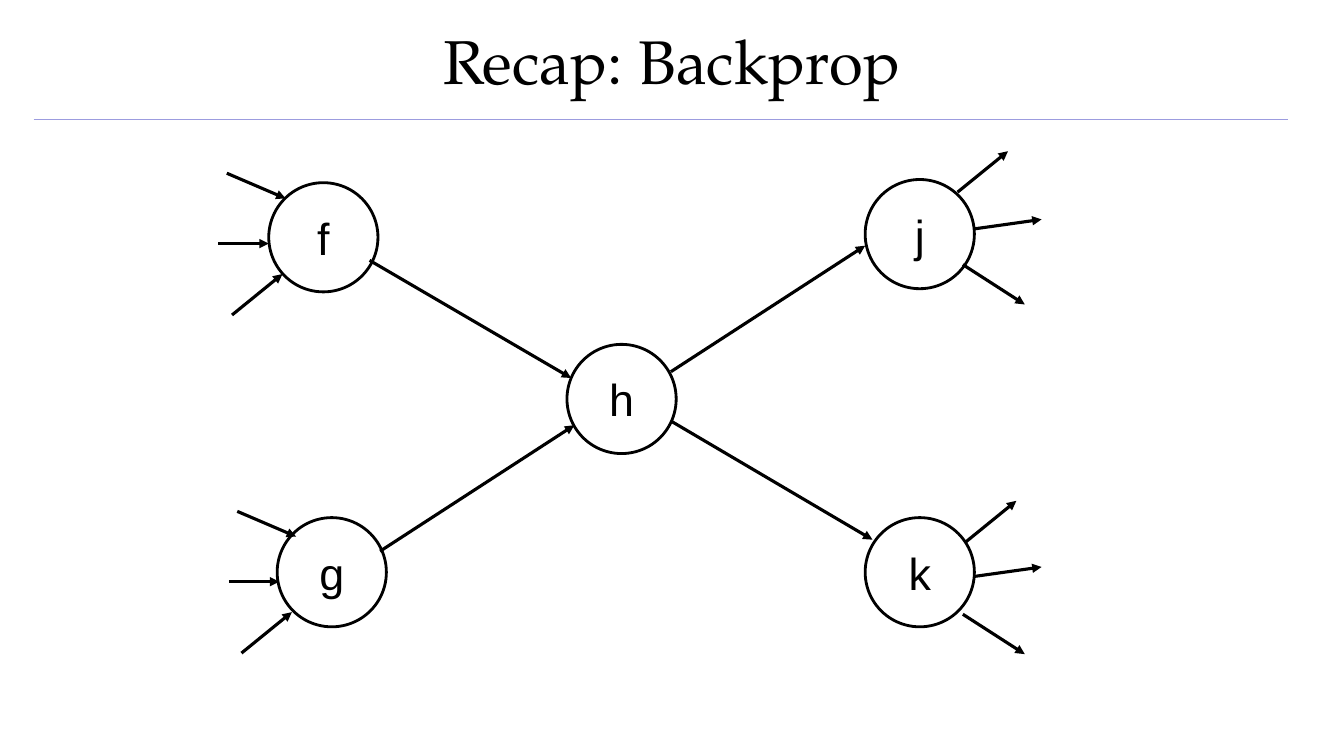
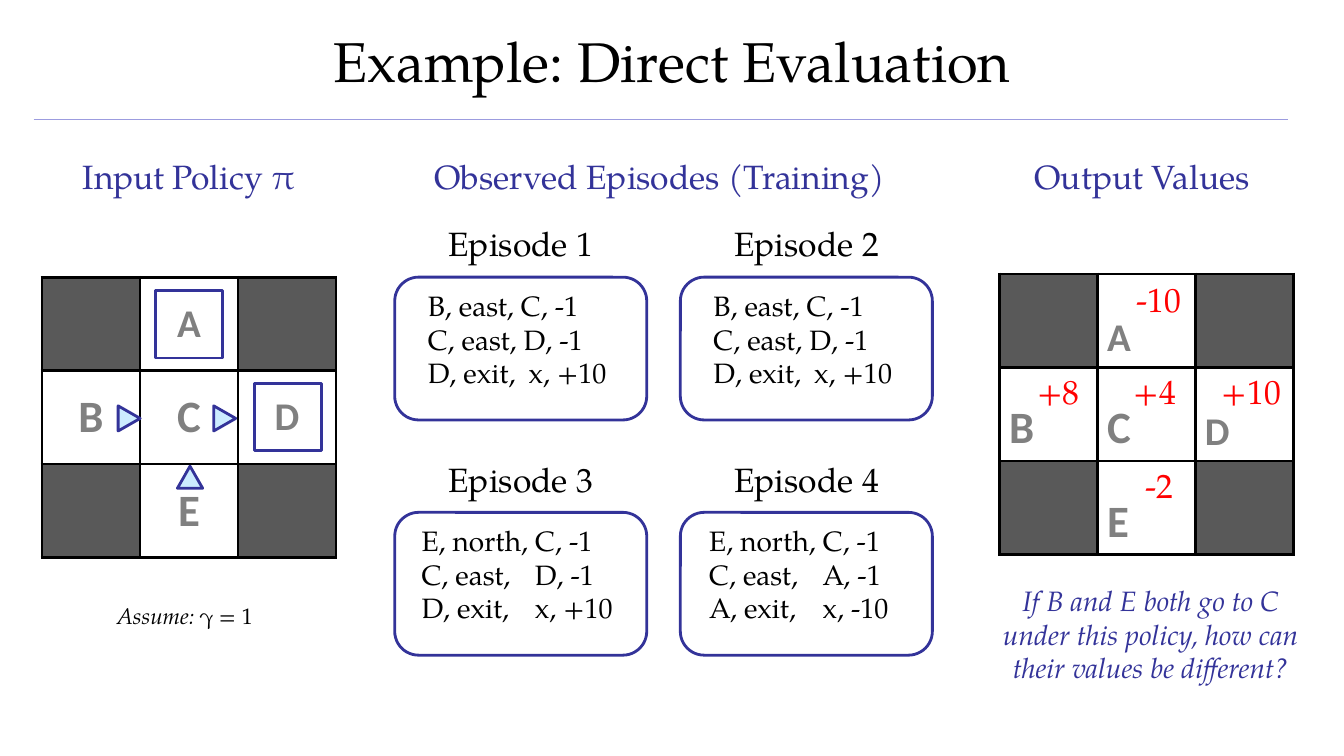
import lxml.etree
import pptx
import pptx.dml.color
import pptx.enum.shapes
import pptx.enum.text
import pptx.oxml.ns
import pptx.util

PX = 9525  # one pixel in EMU, 96 to the inch
SERIF, SANS, GRID_FONT = "TeX Gyre Pagella", "Arial", "Calibri"
BLACK, WHITE, NAVY, RULE = "000000", "FFFFFF", "333399", "9C9CDF"
WALL, STATE, SKY, RED = "595959", "808080", "CCECFF", "FF0000"

rgb = pptx.dml.color.RGBColor.from_string
qn = pptx.oxml.ns.qn
SHAPE = pptx.enum.shapes.MSO_SHAPE
ANCHOR = pptx.enum.text.MSO_ANCHOR
LEFT, CENTER = pptx.enum.text.PP_ALIGN.LEFT, pptx.enum.text.PP_ALIGN.CENTER


def write(frame, paragraphs, size, colour, font=SERIF, align=CENTER,
          bold=False, italic=False, tab=0):
    """Fill a text frame; each paragraph is a tuple of runs, italic marks the first."""
    frame.word_wrap = True
    for row, runs in enumerate(paragraphs):
        paragraph = frame.add_paragraph() if row else frame.paragraphs[0]
        paragraph.alignment = align
        if tab:
            stops = lxml.etree.SubElement(paragraph._p.get_or_add_pPr(), qn("a:tabLst"))
            lxml.etree.SubElement(stops, qn("a:tab"), pos=str(tab * PX), algn="l")
        for place, words in enumerate(runs):
            run = paragraph.add_run()
            run.text = words
            run.font.name = font
            run.font.size = pptx.util.Pt(size)
            run.font.bold = bold
            run.font.italic = italic and place == 0
            run.font.color.rgb = rgb(colour)


def connect(slide, ends, colour, width, arrow=True):
    """Draw a straight line through ends (x1, y1, x2, y2)."""
    line = slide.shapes.add_connector(
        pptx.enum.shapes.MSO_CONNECTOR.STRAIGHT, *[v * PX for v in ends])
    line.line.color.rgb = rgb(colour)
    line.line.width = pptx.util.Pt(width)
    if arrow:
        lxml.etree.SubElement(line.line._get_or_add_ln(), qn("a:tailEnd"), type="triangle")
    lxml.etree.SubElement(line._element.spPr, qn("a:effectLst"))


deck = pptx.Presentation()
deck.slide_width, deck.slide_height = 1280 * PX, 720 * PX

# Shared title and rule
layout = deck.slide_layouts[5]
heading = layout.placeholders[0]
heading.left, heading.top, heading.width, heading.height = 0, -3 * PX, 1280 * PX, 120 * PX
for words, size in (("Recap: Backprop", 44), ("Example: Direct Evaluation", 40)):
    slide = deck.slides.add_slide(layout)
    connect(slide, (32, 114, 1227, 114), RULE, 1, arrow=False)
    title = slide.shapes.title.text_frame
    title.auto_size = pptx.enum.text.MSO_AUTO_SIZE.NONE
    title.vertical_anchor = ANCHOR.MIDDLE
    write(title, [(words,)], size, BLACK)
backprop, evaluation = deck.slides

# Backprop: nodes
for name, x, y in (("h", 540, 328), ("j", 824, 171), ("k", 824, 493),
                   ("f", 256, 174), ("g", 264, 493)):
    node = backprop.shapes.add_shape(SHAPE.OVAL, x * PX, y * PX, 104 * PX, 104 * PX)
    node.shadow.inherit = False
    node.fill.background()
    node.line.color.rgb = rgb(BLACK)
    node.line.width = pptx.util.Pt(2)
    write(node.text_frame, [(name,)], 32, BLACK, SANS)

# Backprop: edges between nodes
for edge in ((352, 248, 544, 360), (639, 401, 831, 514),
             (639, 354, 824, 234), (362, 525, 547, 405)):
    connect(backprop, edge, BLACK, 2.25)

# Backprop: fans of arrows, each a reach and its starting points
fans = (
    ((48, -39), ((912, 183), (920, 516), (221, 300), (230, 622))),
    ((64, -9), ((928, 218), (928, 549))),
    ((59, 38), ((917, 252), (917, 585))),
    ((48, 0), ((208, 232), (218, 554))),
    ((56, 24), ((216, 165), (226, 487))),
)
for (dx, dy), starts in fans:
    for x, y in starts:
        connect(backprop, (x, y, x + dx, y + dy), BLACK, 2.25)

# Evaluation: policy grid and value grid
states = {(0, 1): ("A", 28), (1, 0): ("B", 32), (1, 1): ("C", 32),
          (1, 2): ("D", 28), (2, 1): ("E", 32)}
for x, y, anchor, align in ((40, 264, ANCHOR.MIDDLE, CENTER),
                            (952, 261, ANCHOR.BOTTOM, LEFT)):
    grid = evaluation.shapes.add_table(3, 3, x * PX, y * PX, 280 * PX, 267 * PX).table
    grid.first_row = grid.horz_banding = False
    for row in range(3):
        grid.rows[row].height = 89 * PX
        for column in range(3):
            cell = grid.cell(row, column)
            for side in ("a:lnL", "a:lnR", "a:lnT", "a:lnB"):
                border = lxml.etree.SubElement(
                    cell._tc.get_or_add_tcPr(), qn(side), w=str(pptx.util.Pt(2.25)))
                ink = lxml.etree.SubElement(border, qn("a:solidFill"))
                lxml.etree.SubElement(ink, qn("a:srgbClr"), val=BLACK)
            state = states.get((row, column))
            cell.fill.solid()
            cell.fill.fore_color.rgb = rgb(WHITE if state else WALL)
            if state:
                cell.vertical_anchor = anchor
                cell.margin_left = cell.margin_right = 9 * PX
                write(cell.text_frame, [(state[0],)], state[1], STATE, GRID_FONT,
                      align, bold=True)

# Evaluation: exit squares, policy arrows and episode frames
episode_spots = [(x, y) for y in (264, 488) for x in (376, 648)]
outlines = [
    (SHAPE.RECTANGLE, 242, 365, 64, 64, 0, None),
    (SHAPE.RECTANGLE, 148, 277, 64, 64, 0, None),
    (SHAPE.ISOSCELES_TRIANGLE, 111, 388, 24, 21, 90, SKY),
    (SHAPE.ISOSCELES_TRIANGLE, 202, 388, 24, 21, 90, SKY),
    (SHAPE.ISOSCELES_TRIANGLE, 169, 444, 24, 21, 0, SKY),
] + [(SHAPE.ROUNDED_RECTANGLE, x, y, 240, 136, 0, None) for x, y in episode_spots]
for kind, x, y, width, height, turn, fill in outlines:
    outline = evaluation.shapes.add_shape(kind, x * PX, y * PX, width * PX, height * PX)
    outline.shadow.inherit = False
    outline.rotation = turn
    outline.line.color.rgb = rgb(NAVY)
    outline.line.width = pptx.util.Pt(2)
    if fill:
        outline.fill.solid()
        outline.fill.fore_color.rgb = rgb(fill)
    else:
        outline.fill.background()

# Evaluation: headings, remarks and state values
captions = [
    ((56, 144, 248, 48), ("Input Policy π",), 24, NAVY, False),
    ((392, 144, 472, 48), ("Observed Episodes (Training)",), 24, NAVY, False),
    ((944, 144, 288, 48), ("Output Values",), 24, NAVY, False),
    ((48, 569, 256, 36), ("Assume: ", "γ = 1"), 16, BLACK, True),
    ((940, 551, 312, 107),
     ("If B and E both go to C under this policy, how can their values be different?",),
     20, NAVY, True),
]
for value, x, y in (("+8", 960, 349), ("+4", 1052, 349), ("+10", 1144, 349),
                    ("-10", 1056, 261), ("-2", 1056, 438)):
    captions.append(((x, y, 96, 48), (value,), 24, RED, False))
for number, (x, y) in enumerate(episode_spots, 1):
    captions.append(((x + 32, y - 56, 176, 48), (f"Episode {number}",), 24, BLACK, False))
for box, runs, size, colour, italic in captions:
    caption = evaluation.shapes.add_textbox(*[v * PX for v in box])
    write(caption.text_frame, [runs], size, colour, italic=italic)

# Evaluation: steps of each episode, with indent and tab stop
east_steps = ("B, east, C, -1", "C, east, D, -1", "D, exit,\tx, +10")
episodes = (
    (22, 83, east_steps),
    (22, 83, east_steps),
    (16, 108, ("E, north, C, -1", "C, east,\tD, -1", "D, exit,\tx, +10")),
    (18, 108, ("E, north, C, -1", "C, east,\tA, -1", "A, exit,\tx, -10")),
)
for (x, y), (indent, tab, steps) in zip(episode_spots, episodes):
    log = evaluation.shapes.add_textbox((x + indent) * PX, (y + 6) * PX, 224 * PX, 107 * PX)
    write(log.text_frame, [(step,) for step in steps], 20, BLACK, align=LEFT, tab=tab)

deck.save("out.pptx")
